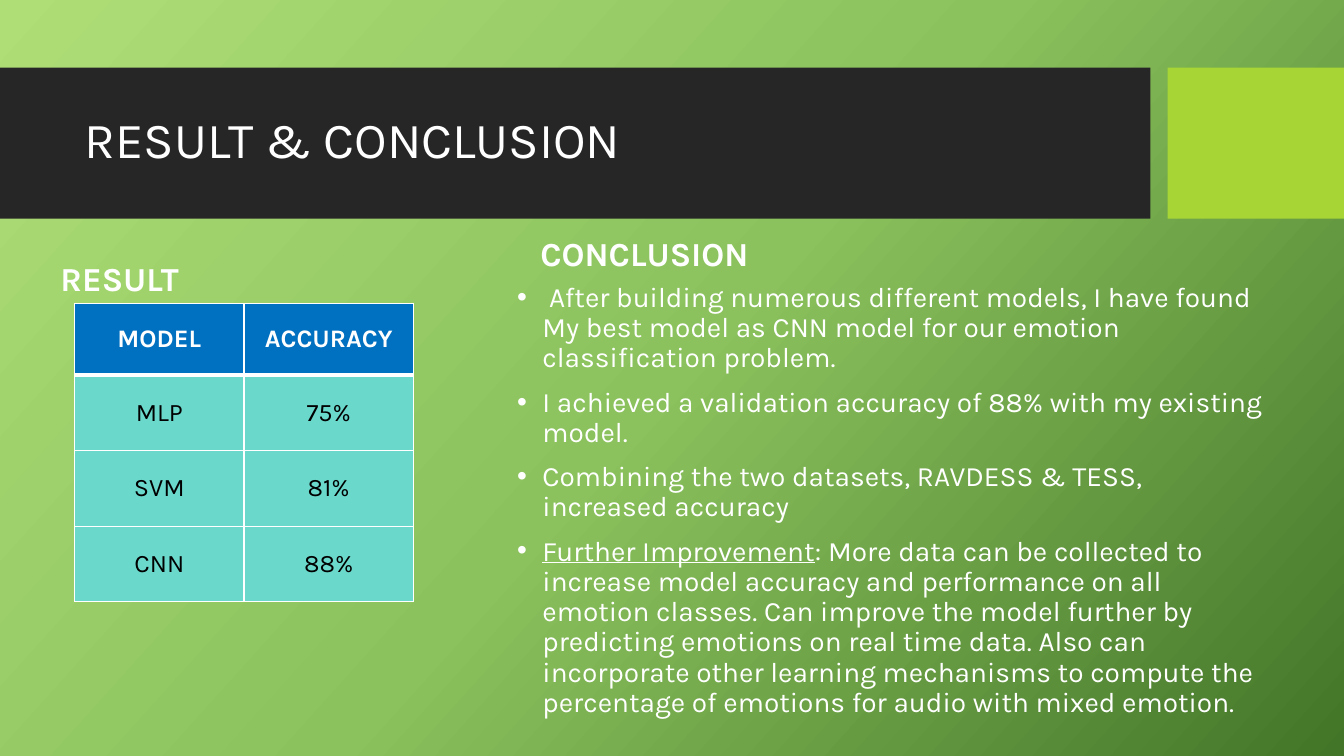
"""Build the result and conclusion slide with an accuracy table and findings."""
import copy

import pptx
import pptx.dml.color
import pptx.enum.shapes
import pptx.enum.text
import pptx.oxml
import pptx.oxml.ns
import pptx.util
from pptx.util import Inches, Pt

ANCHOR = pptx.enum.text.MSO_ANCHOR
ALIGN = pptx.enum.text.PP_ALIGN
NS = pptx.oxml.ns.nsdecls("a")


def paint(color_format, hex_color):
    color_format.rgb = pptx.dml.color.RGBColor.from_string(hex_color)


def write(paragraph, text, size, color="FFFFFF", bold=False, underline=False):
    run = paragraph.add_run()
    run.text = text
    run.font.name = "Karla"
    run.font.size = Pt(size)
    run.font.bold = bold
    run.font.underline = underline
    paint(run.font.color, color)


deck = pptx.Presentation()
deck.slide_width, deck.slide_height = Inches(13.33), Inches(7.5)
slide = deck.slides.add_slide(deck.slide_layouts[4])

backdrop = slide.background.fill
backdrop.gradient()
backdrop.gradient_angle = 318
stop_list = slide._element.xpath(".//a:gsLst")[0]
stop_list.insert(1, copy.deepcopy(stop_list[0]))
for stop, position, color in zip(
    backdrop.gradient_stops, (0, 0.5, 1), ("AFDE77", "8BC25D", "437528")
):
    stop.position = position
    paint(stop.color, color)

bands = [(0, 11.41, "262626"), (11.58, 1.75, "A7D535")]
for order, (left, width, color) in enumerate(bands):
    band = slide.shapes.add_shape(
        pptx.enum.shapes.MSO_SHAPE.RECTANGLE,
        Inches(left), Inches(0.67), Inches(width), Inches(1.5),
    )
    band.shadow.inherit = False
    band.fill.solid()
    paint(band.fill.fore_color, color)
    band.line.fill.background()
    slide.shapes._spTree.insert(2 + order, band._element)

holders = {holder.placeholder_format.idx: holder for holder in slide.placeholders}
holders[2]._element.getparent().remove(holders[2]._element)
title, result, conclusion, findings = (holders[idx] for idx in (0, 1, 3, 4))

areas = [
    (title, (0.74, 0.82, 10.51, 1.18), ANCHOR.MIDDLE),
    (result, (0.5, 2.25, 4.89, 0.76), ANCHOR.BOTTOM),
    (conclusion, (5.26, 2.01, 4.89, 0.76), ANCHOR.BOTTOM),
    (findings, (5.03, 2.76, 7.66, 4.74), ANCHOR.TOP),
]
for holder, place, anchor in areas:
    holder.left, holder.top, holder.width, holder.height = map(Inches, place)
    holder.text_frame.vertical_anchor = anchor
    holder.text_frame.word_wrap = True
    holder.text_frame.auto_size = pptx.enum.text.MSO_AUTO_SIZE.NONE

write(title.text_frame.paragraphs[0], "RESULT & CONCLUSION", 36)
write(result.text_frame.paragraphs[0], "RESULT", 24, bold=True)
write(conclusion.text_frame.paragraphs[0], "CONCLUSION", 24, bold=True)

points = [
    ("", " After building numerous different models, I have found My best model "
         "as CNN model for our emotion classification problem. "),
    ("", "I achieved a validation accuracy of 88% with my existing model. "),
    ("", "Combining the two datasets, RAVDESS & TESS, increased accuracy"),
    ("Further Improvement",
     ": More data can be collected to increase model accuracy and performance on "
     "all emotion classes. Can improve the model further by predicting emotions on "
     "real time data. Also can incorporate other learning mechanisms to compute the "
     "percentage of emotions for audio with mixed emotion."),
]
for number, (lead, detail) in enumerate(points):
    frame = findings.text_frame
    point = frame.add_paragraph() if number else frame.paragraphs[0]
    if lead:
        write(point, lead, 20, underline=True)
    write(point, detail, 20)
    indents = point._p.get_or_add_pPr()
    indents.set("marL", str(Inches(0.25)))
    indents.set("indent", str(-Inches(0.25)))
    indents.append(pptx.oxml.parse_xml(f'<a:buFont {NS} typeface="Arial"/>'))
    indents.append(pptx.oxml.parse_xml(f'<a:buChar {NS} char="•"/>'))

for holder, place, anchor in areas:
    for paragraph in holder.text_frame.paragraphs:
        paragraph.alignment = ALIGN.LEFT
        paragraph.line_spacing = 0.9
        paragraph.space_before = Pt(0 if holder is title else 10)

scores = [("MODEL", "ACCURACY"), ("MLP", "75%"), ("SVM", "81%"), ("CNN", "88%")]
table = slide.shapes.add_table(
    len(scores), 2, Inches(0.74), Inches(3.01), Inches(3.36), Inches(2.96)
).table
for column in table.columns:
    column.width = Inches(1.68)
for row, texts in enumerate(scores):
    header = row == 0
    table.rows[row].height = Inches(0.71 if header else 0.75)
    for column, text in enumerate(texts):
        cell = table.cell(row, column)
        cell.vertical_anchor = ANCHOR.MIDDLE
        cell.fill.solid()
        paint(cell.fill.fore_color, "0070C0" if header else "6AD8CB")
        paragraph = cell.text_frame.paragraphs[0]
        paragraph.alignment = ALIGN.CENTER
        write(paragraph, text, 18, "FFFFFF" if header else "000000", header)
        for order, side in enumerate("LRTB"):
            thick = (row, side) in ((0, "B"), (1, "T"))
            cell._tc.get_or_add_tcPr().insert(order, pptx.oxml.parse_xml(
                f'<a:ln{side} {NS} w="{Pt(3 if thick else 1)}"><a:solidFill>'
                f'<a:srgbClr val="FFFFFF"/></a:solidFill></a:ln{side}>'
            ))

deck.save("out.pptx")
